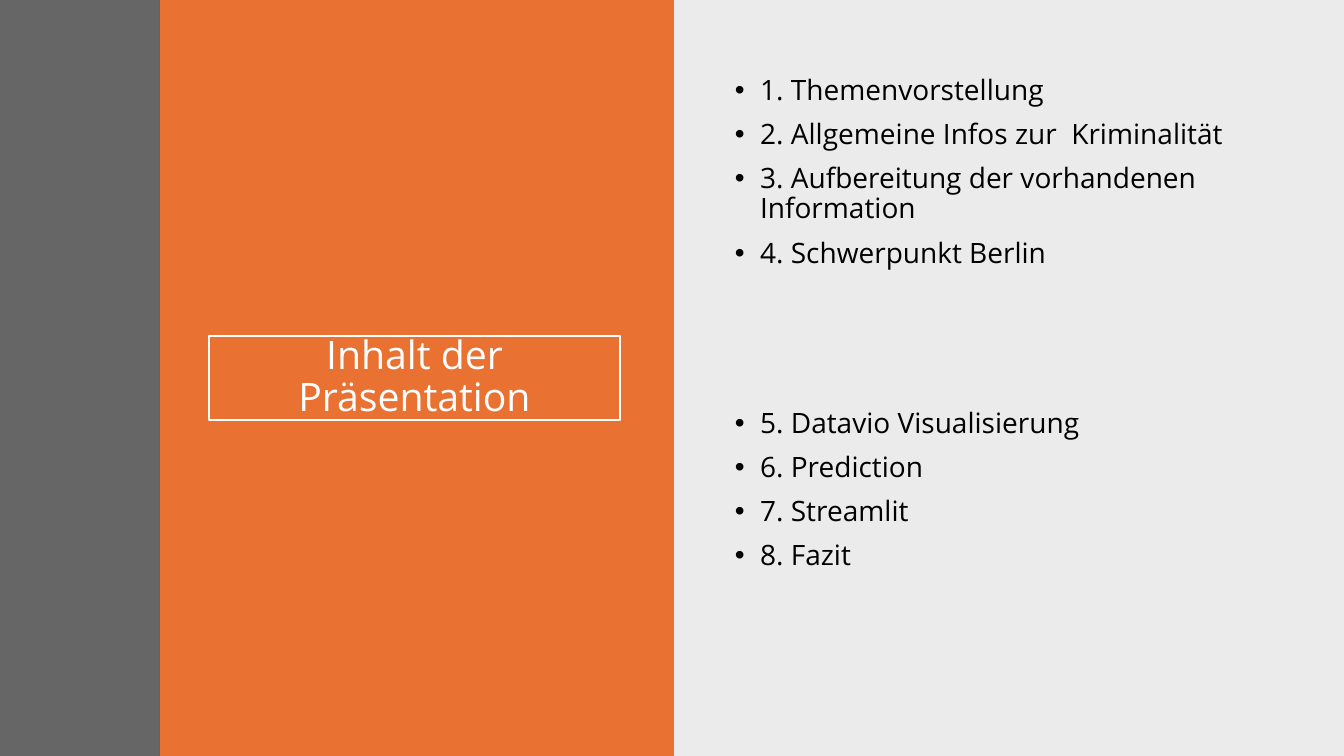
"""Build the agenda slide with a coloured title panel and two topic lists."""
import pptx
import pptx.dml.color
import pptx.enum.shapes
import pptx.enum.text
import pptx.oxml.ns
import pptx.util
from lxml import etree

PX = 12192000 / 1344
BLACK = pptx.dml.color.RGBColor(0x00, 0x00, 0x00)
WHITE = pptx.dml.color.RGBColor(0xFF, 0xFF, 0xFF)
ORANGE = pptx.dml.color.RGBColor(0xE9, 0x71, 0x32)
GREY = pptx.dml.color.RGBColor(0x40, 0x40, 0x40)


def px(*lengths):
    return [round(length * PX) for length in lengths]


def write(paragraph, text, font_format, paragraph_format):
    run = paragraph.add_run()
    run.text = text
    for target, values in ((run.font, font_format), (paragraph, paragraph_format)):
        for key, value in values.items():
            setattr(target, key, value)
    return run


deck = pptx.Presentation()
deck.slide_width, deck.slide_height = px(1344, 756)
slide = deck.slides.add_slide(deck.slide_layouts[6])

panels = [
    (672, 672, BLACK, 8),
    (160, 514, ORANGE, 100),
    (0, 160, GREY, 80),
]
for left, width, colour, opacity in panels:
    panel = slide.shapes.add_shape(
        pptx.enum.shapes.MSO_SHAPE.RECTANGLE, *px(left, 0, width, 756))
    panel.shadow.inherit = False
    panel.line.fill.background()
    panel.fill.solid()
    panel.fill.fore_color.rgb = colour
    if opacity < 100:
        tint = panel.fill._xPr.find(".//" + pptx.oxml.ns.qn("a:srgbClr"))
        etree.SubElement(tint, pptx.oxml.ns.qn("a:alpha"), val=str(opacity * 1000))

title = slide.shapes.add_textbox(*px(209, 336, 411, 84))
title.line.color.rgb = WHITE
title.line.width = pptx.util.Pt(2)
title.text_frame.word_wrap = True
title.text_frame.vertical_anchor = pptx.enum.text.MSO_ANCHOR.MIDDLE
heading = write(
    title.text_frame.paragraphs[0], "Inhalt der Präsentation",
    {"name": "Open Sans", "size": pptx.util.Pt(28)},
    {"alignment": pptx.enum.text.PP_ALIGN.CENTER, "line_spacing": 0.9})
heading.font.color.rgb = WHITE

topic_font = {"name": "Open Sans", "size": pptx.util.Pt(20)}
topic_spacing = {"line_spacing": 0.9, "space_before": pptx.util.Pt(10)}
indent = pptx.util.Inches(0.25)
agenda = [
    (71, ["1. Themenvorstellung",
          "2. Allgemeine Infos zur  Kriminalität",
          "3. Aufbereitung der vorhandenen Information",
          "4. Schwerpunkt Berlin"]),
    (404, ["5. Datavio Visualisierung",
           "6. Prediction",
           "7. Streamlit",
           "8. Fazit"]),
]
for top, topics in agenda:
    topic_list = slide.shapes.add_textbox(*px(725, top, 557, 281)).text_frame
    topic_list.word_wrap = True
    for index, topic in enumerate(topics):
        entry = topic_list.add_paragraph() if index else topic_list.paragraphs[0]
        write(entry, topic, topic_font, topic_spacing).font.color.rgb = BLACK
        properties = entry._p.get_or_add_pPr()
        properties.set("marL", str(indent))
        properties.set("indent", str(-indent))
        etree.SubElement(properties, pptx.oxml.ns.qn("a:buFont"), typeface="Arial")
        etree.SubElement(properties, pptx.oxml.ns.qn("a:buChar"), char="•")

deck.save("out.pptx")
